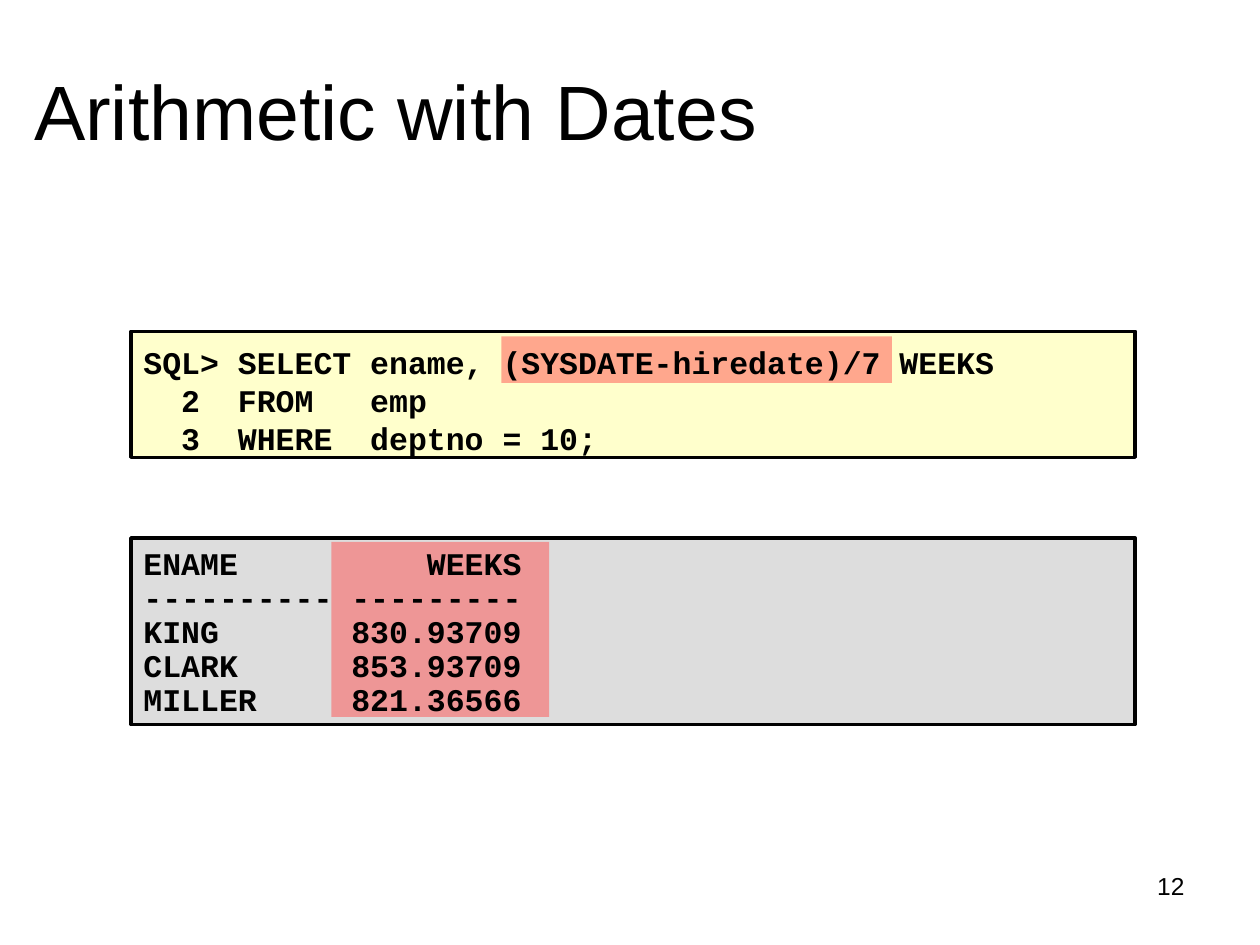
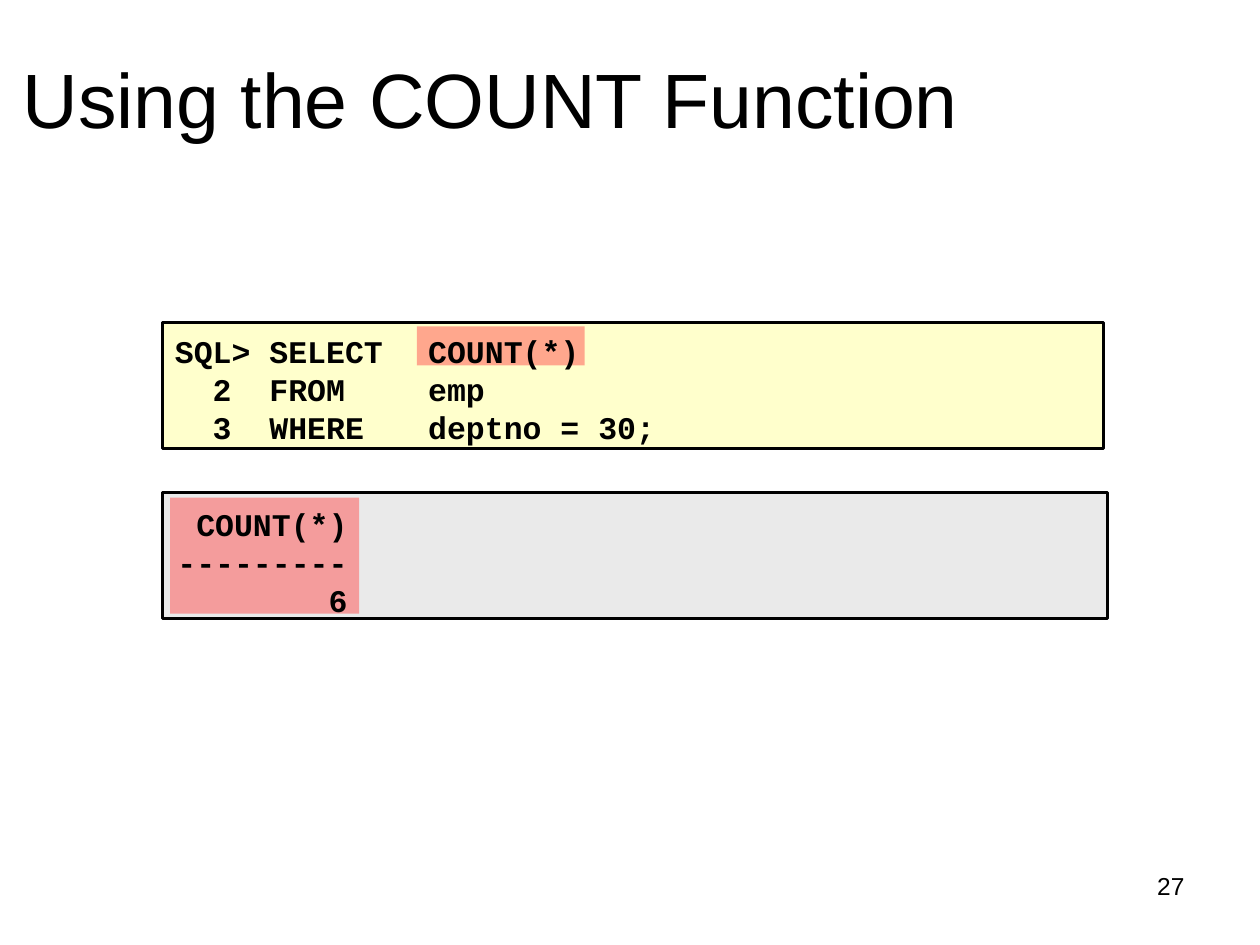
import pptx
import pptx.dml.color
import pptx.enum.shapes
import pptx.enum.text
import pptx.oxml
import pptx.oxml.ns
import pptx.util
from pptx.util import Inches

RGBColor = pptx.dml.color.RGBColor
BLACK = RGBColor(0x00, 0x00, 0x00)
CODE_YELLOW = RGBColor(0xFF, 0xFF, 0xCC)
RESULT_GRAY = RGBColor(0xDD, 0xDD, 0xDD)
LIGHT_GRAY = RGBColor(0xEA, 0xEA, 0xEA)
HIGHLIGHT_RED = RGBColor(0xFF, 0x50, 0x50)

ALIGN = pptx.enum.text.PP_ALIGN
ANCHOR = pptx.enum.text.MSO_ANCHOR

TITLE_FONT = {"name": "Arial", "size": pptx.util.Pt(44), "bold": False}
CODE_FONT = {"name": "Courier New", "size": pptx.util.Pt(18), "bold": True}
NUMBER_FONT = {"name": "Arial", "size": pptx.util.Pt(14), "bold": False}
NUMBER_BOX = (7.17, 6.83, 2.33, 0.52)
LINE_HEIGHT = 1.2  # line pitch as a multiple of the font size

# Content: boxes are left, top, width, height in inches
SLIDES = [
    {
        "title": "Arithmetic with Dates",
        "title_box": (0.17, 0.42, 8.58, 0.83),
        "number": "12",
        "panels": [
            {
                "box": (1.04, 2.63, 7.97, 1), "fill": CODE_YELLOW,
                "highlight": (3.98, 2.67, 3.1, 0.37),
                "text_box": (1.04, 2.36, 8, 1.57), "anchor": ANCHOR.MIDDLE,
                "lines": [
                    "SQL> SELECT ename, (SYSDATE-hiredate)/7 WEEKS",
                    "  2  FROM   emp",
                    "  3  WHERE  deptno = 10;",
                ],
            },
            {
                "box": (1.04, 4.27, 7.97, 1.48), "fill": RESULT_GRAY,
                "highlight": (2.63, 4.3, 1.73, 1.39),
                "text_box": (1.04, 4.27, 7.97, 1.45), "spacing": 0.9,
                "lines": [
                    "ENAME          WEEKS",
                    "---------- ---------",
                    "KING       830.93709",
                    "CLARK      853.93709",
                    "MILLER     821.36566",
                ],
            },
        ],
    },
    {
        "title": "Using the COUNT Function",
        "title_box": (0.08, 0.33, 8.5, 1.25),
        "number": "27",
        "panels": [
            {
                "box": (1.29, 2.56, 7.47, 1), "fill": CODE_YELLOW,
                "highlight": (3.31, 2.59, 1.33, 0.31),
                "text_box": (1.29, 2.54, 7.5, 1.03), "anchor": ANCHOR.MIDDLE,
                "tabs": (0.75, 2.01),
                "lines": [
                    "SQL> SELECT\tCOUNT(*)",
                    "  2  FROM\temp",
                    "  3  WHERE\tdeptno = 30;",
                ],
            },
            {
                "box": (1.29, 3.91, 7.5, 1), "fill": LIGHT_GRAY,
                "highlight": (1.35, 3.95, 1.5, 0.92),
                "text_box": (1.31, 3.93, 7.47, 1),
                "lines": [" COUNT(*)", "---------", "        6"],
            },
        ],
    },
]


def set_attributes(target, values):
    for name, value in values.items():
        setattr(target, name, value)


def add_tabs(paragraph, positions):
    properties = paragraph._p.get_or_add_pPr()
    tab_list = pptx.oxml.parse_xml(f"<a:tabLst {pptx.oxml.ns.nsdecls('a')}/>")
    for position in positions:
        tab_list.append(pptx.oxml.parse_xml(
            f'<a:tab {pptx.oxml.ns.nsdecls("a")} pos="{Inches(position)}" algn="l"/>'))
    properties.append(tab_list)


def write_lines(shape, lines, font, alignment=ALIGN.LEFT, anchor=ANCHOR.TOP,
                spacing=1, tabs=()):
    frame = shape.text_frame
    set_attributes(frame, {
        "word_wrap": True, "auto_size": pptx.enum.text.MSO_AUTO_SIZE.NONE,
        "vertical_anchor": anchor,
        "margin_left": Inches(0.1), "margin_right": Inches(0.1),
        "margin_top": Inches(0.08), "margin_bottom": Inches(0.02),
    })
    for index, line in enumerate(lines):
        paragraph = frame.add_paragraph() if index else frame.paragraphs[0]
        paragraph.add_run().text = line
        if tabs:
            add_tabs(paragraph, tabs)
        set_attributes(paragraph, {
            "alignment": alignment,
            "space_before": pptx.util.Pt(0),
            "line_spacing": pptx.util.Pt(font["size"].pt * LINE_HEIGHT * spacing),
        })
        set_attributes(paragraph.runs[0].font, font)
        paragraph.runs[0].font.color.rgb = BLACK


def add_text(slide, box, lines, font, **options):
    write_lines(slide.shapes.add_textbox(*map(Inches, box)), lines, font, **options)


def add_rectangle(slide, box, color):
    shape = slide.shapes.add_shape(
        pptx.enum.shapes.MSO_SHAPE.RECTANGLE, *map(Inches, box))
    shape.shadow.inherit = False
    shape.fill.solid()
    shape.fill.fore_color.rgb = color
    return shape


def add_panel(slide, panel):
    # Framed background
    frame = add_rectangle(slide, panel["box"], panel["fill"])
    frame.line.color.rgb = BLACK
    frame.line.width = pptx.util.Pt(2)

    # Half-transparent highlight
    highlight = add_rectangle(slide, panel["highlight"], HIGHLIGHT_RED)
    highlight.line.fill.background()
    color = highlight._element.spPr.find(".//" + pptx.oxml.ns.qn("a:srgbClr"))
    color.append(pptx.oxml.parse_xml(
        f'<a:alpha {pptx.oxml.ns.nsdecls("a")} val="50000"/>'))

    # Code or query result
    options = {key: panel[key] for key in ("anchor", "spacing", "tabs") if key in panel}
    add_text(slide, panel["text_box"], panel["lines"], CODE_FONT, **options)


def main():
    presentation = pptx.Presentation()
    presentation.slide_width = Inches(10)
    presentation.slide_height = Inches(7.5)
    for content in SLIDES:
        slide = presentation.slides.add_slide(presentation.slide_layouts[5])
        title = slide.shapes.title
        set_attributes(title, dict(zip(("left", "top", "width", "height"),
                                       map(Inches, content["title_box"]))))
        write_lines(title, [content["title"]], TITLE_FONT)
        for panel in content["panels"]:
            add_panel(slide, panel)
        add_text(slide, NUMBER_BOX, [content["number"]], NUMBER_FONT,
                 alignment=ALIGN.RIGHT)
    presentation.save("out.pptx")


if __name__ == "__main__":
    main()
